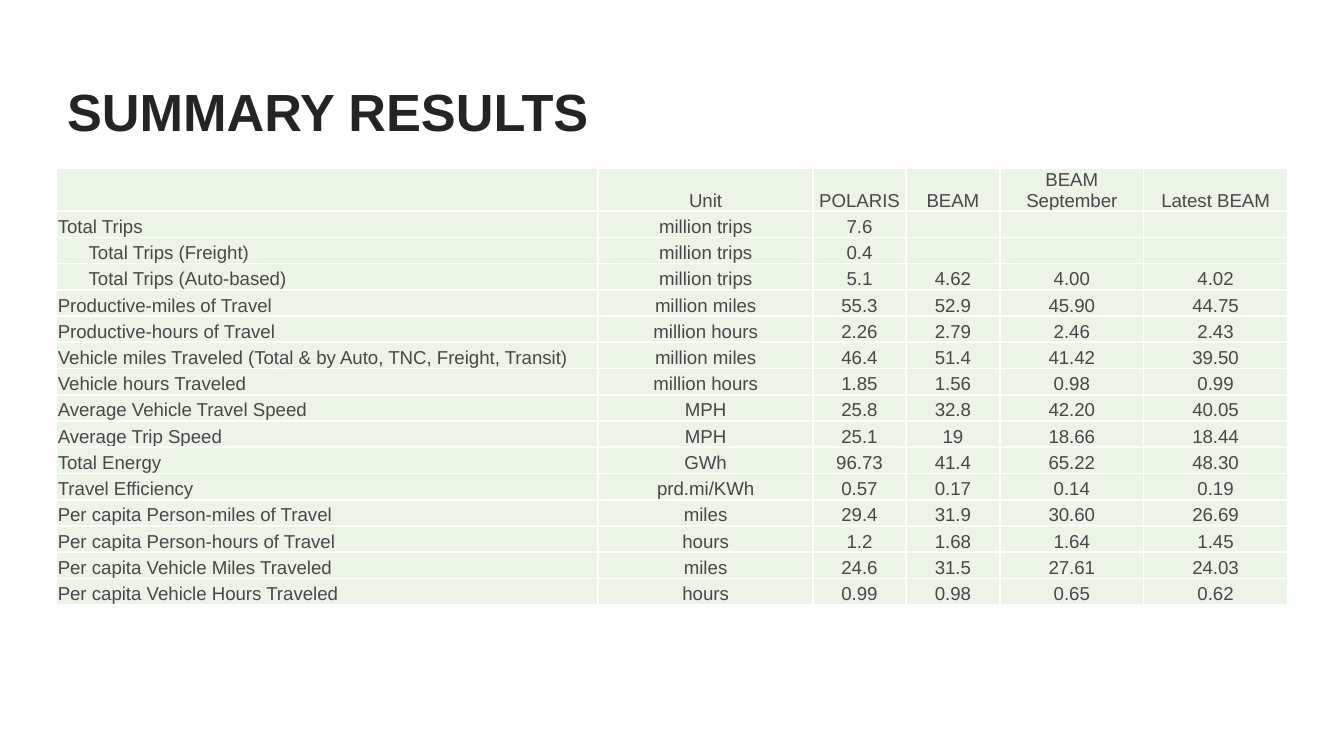
from lxml import etree
from pptx import Presentation
from pptx.dml.color import RGBColor
from pptx.enum.text import MSO_ANCHOR, PP_ALIGN
from pptx.oxml.ns import qn
from pptx.util import Inches, Pt

BOTTOM = MSO_ANCHOR.BOTTOM
LEFT, CENTER = PP_ALIGN.LEFT, PP_ALIGN.CENTER

TITLE_COLOR = RGBColor(0x23, 0x24, 0x25)
TEXT_COLOR = RGBColor(0x47, 0x48, 0x4A)
CELL_FILL = RGBColor(0xEC, 0xF3, 0xE7)
BORDER_COLOR = RGBColor(0xFF, 0xFF, 0xFF)

COLUMN_WIDTHS = [4.03, 1.6, 0.69, 0.7, 1.07, 1.07]
TABLE_HEIGHT, HEADER_HEIGHT = 3.25, 0.32
INDENTED = ("Total Trips (Freight)", "Total Trips (Auto-based)")
ROWS = [
    ("", "Unit", "POLARIS", "BEAM", "BEAM September", "Latest BEAM"),
    ("Total Trips", "million trips", "7.6", "", "", ""),
    ("Total Trips (Freight)", "million trips", "0.4", "", "", ""),
    ("Total Trips (Auto-based)", "million trips", "5.1", "4.62", "4.00", "4.02"),
    ("Productive-miles of Travel", "million miles", "55.3", "52.9", "45.90", "44.75"),
    ("Productive-hours of Travel", "million hours", "2.26", "2.79", "2.46", "2.43"),
    ("Vehicle miles Traveled (Total & by Auto, TNC, Freight, Transit)",
     "million miles", "46.4", "51.4", "41.42", "39.50"),
    ("Vehicle hours Traveled", "million hours", "1.85", "1.56", "0.98", "0.99"),
    ("Average Vehicle Travel Speed", "MPH", "25.8", "32.8", "42.20", "40.05"),
    ("Average Trip Speed", "MPH", "25.1", "19", "18.66", "18.44"),
    ("Total Energy", "GWh", "96.73", "41.4", "65.22", "48.30"),
    ("Travel Efficiency", "prd.mi/KWh", "0.57", "0.17", "0.14", "0.19"),
    ("Per capita Person-miles of Travel", "miles", "29.4", "31.9", "30.60", "26.69"),
    ("Per capita Person-hours of Travel", "hours", "1.2", "1.68", "1.64", "1.45"),
    ("Per capita Vehicle Miles Traveled", "miles", "24.6", "31.5", "27.61", "24.03"),
    ("Per capita Vehicle Hours Traveled", "hours", "0.99", "0.98", "0.65", "0.62"),
]


def write(tf, text, size=10, color=TEXT_COLOR, bold=False, align=LEFT):
    """Fill the first paragraph; an empty one still gets its text size."""
    p = tf.paragraphs[0]
    p.alignment = align
    if not text:
        etree.SubElement(p._p, qn("a:endParaRPr"), sz=str(size * 100))
        return p
    r = p.add_run()
    r.text = text
    r.font.name = "Arial"
    r.font.size = Pt(size)
    r.font.bold = bold
    r.font.color.rgb = color
    return p


def add_borders(cell):
    tc_pr = cell._tc.get_or_add_tcPr()
    for side in ("a:lnL", "a:lnR", "a:lnT", "a:lnB"):
        ln = etree.SubElement(tc_pr, qn(side), w=str(Pt(1)))
        fill = etree.SubElement(ln, qn("a:solidFill"))
        etree.SubElement(fill, qn("a:srgbClr"), val=str(BORDER_COLOR))


prs = Presentation()
prs.slide_width = Inches(10)
prs.slide_height = prs.slide_width * 9 // 16
s = prs.slides.add_slide(prs.slide_layouts[5])

title = s.shapes.title
title.left, title.top = Inches(0.5), Inches(0.39)
title.width, title.height = Inches(7.3), Inches(0.68)
tf = title.text_frame
tf.margin_left = tf.margin_right = tf.margin_top = tf.margin_bottom = 0
tf.vertical_anchor = BOTTOM
p = write(tf, "SUMMARY RESULTS", size=28, color=TITLE_COLOR, bold=True)
p.line_spacing = 0.95

table = s.shapes.add_table(
    len(ROWS), len(COLUMN_WIDTHS), Inches(0.42), Inches(1.25),
    Inches(sum(COLUMN_WIDTHS)), Inches(TABLE_HEIGHT)).table
table.first_row = table.horz_banding = False
for column, width in zip(table.columns, COLUMN_WIDTHS):
    column.width = Inches(width)

row_height = (TABLE_HEIGHT - HEADER_HEIGHT) / (len(ROWS) - 1)
for i, values in enumerate(ROWS):
    table.rows[i].height = Inches(row_height if i else HEADER_HEIGHT)
    for j, text in enumerate(values):
        cell = table.cell(i, j)
        cell.margin_left = Inches(0.24 if text in INDENTED else 0.01)
        cell.margin_right = cell.margin_top = Inches(0.01)
        cell.margin_bottom = 0
        cell.vertical_anchor = BOTTOM
        add_borders(cell)
        cell.fill.solid()
        cell.fill.fore_color.rgb = CELL_FILL
        write(cell.text_frame, text, align=CENTER if j else LEFT)

prs.save("out.pptx")
